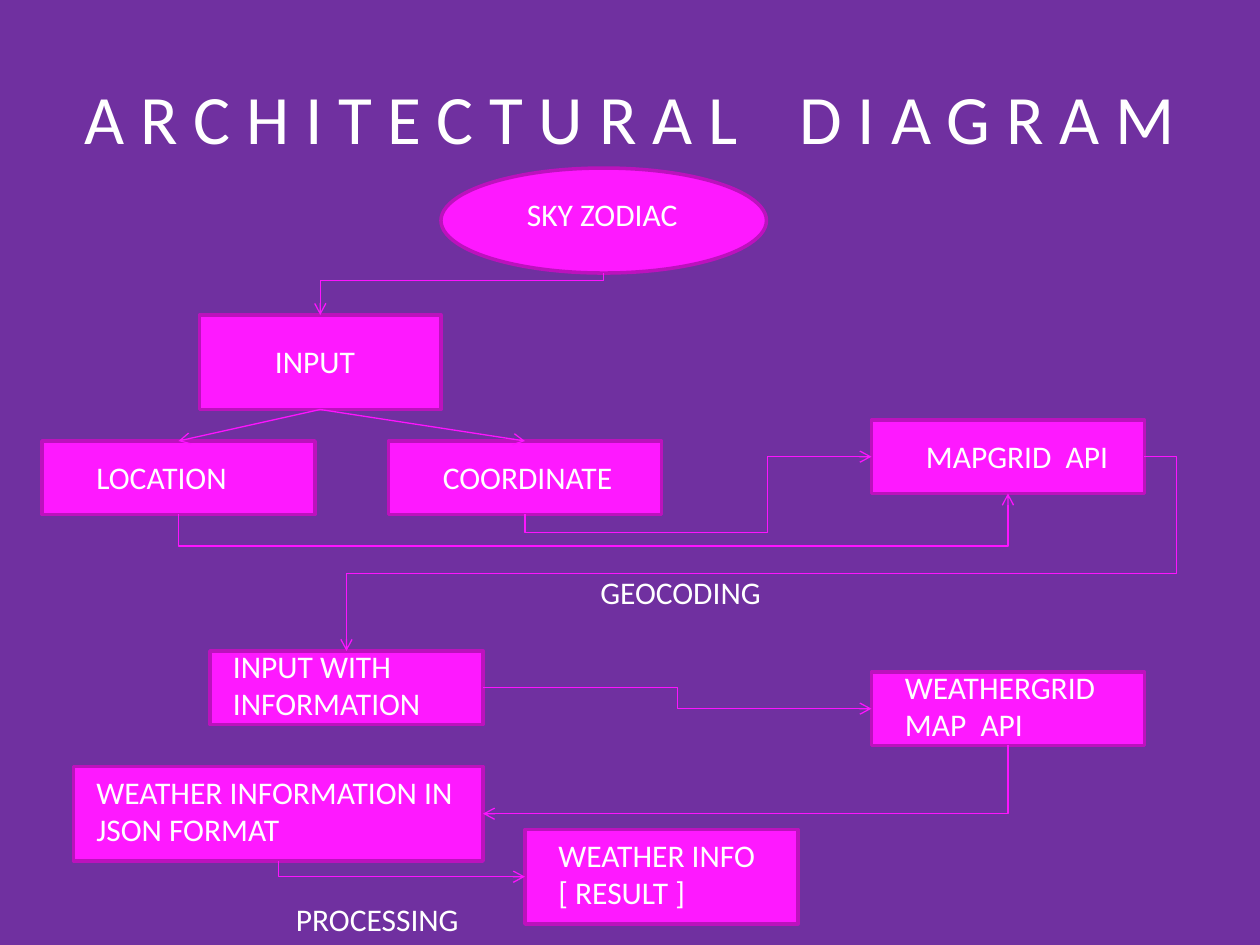
from pptx import Presentation
from pptx.dml.color import RGBColor
from pptx.enum.shapes import MSO_CONNECTOR as CXN, MSO_SHAPE as SHAPE
from pptx.enum.text import MSO_ANCHOR, MSO_AUTO_SIZE as FIT, PP_ALIGN
from pptx.oxml.ns import qn
from pptx.util import Inches, Pt
from lxml.etree import SubElement

PURPLE = RGBColor(0x70, 0x30, 0xA0)
PINK = RGBColor(0xFE, 0x19, 0xFF)
EDGE = RGBColor(0xBC, 0x12, 0xBD)
ARROW = RGBColor(0xFE, 0x13, 0xFF)
WHITE = RGBColor(0xFF, 0xFF, 0xFF)
COLS, ROWS = 120, 90

prs = Presentation()
prs.slide_width, prs.slide_height = Inches(10), Inches(7.5)
CELL = prs.slide_width // COLS
s = prs.slides.add_slide(prs.slide_layouts[5])
s.background.fill.solid()
s.background.fill.fore_color.rgb = PURPLE


def cells(*values):
    return [round(v * CELL) for v in values]


def write(tf, lines, size):
    tf.word_wrap = True
    for i, line in enumerate(lines):
        p = tf.paragraphs[0] if i == 0 else tf.add_paragraph()
        r = p.add_run()
        r.text = line
        for name, value in {"name": "Calibri", "size": Pt(size)}.items():
            setattr(r.font, name, value)
        r.font.color.rgb = WHITE


# Title
title = s.shapes.title
title.left, title.top, title.width, title.height = cells(6, 3.6, 108, 15)
tf = title.text_frame
write(tf, ["A R C H I T E C T U R A L    D I A G R A M"], 39.6)
tf.auto_size, tf.vertical_anchor = FIT.NONE, MSO_ANCHOR.MIDDLE
tf.paragraphs[0].alignment = PP_ALIGN.CENTER

# Nodes: column, row, columns wide, rows high
NODES = {
    "app": (42, 16, 31, 10),
    "input": (19, 30, 23, 9),
    "location": (4, 42, 26, 7),
    "coordinate": (37, 42, 26, 7),
    "geocoder": (83, 40, 26, 7),
    "weather api": (83, 64, 26, 7),
    "full input": (20, 62, 26, 7),
    "json": (7, 73, 39, 9),
    "result": (50, 79, 26, 9),
}
sites = {}
for name, (x, y, w, h) in NODES.items():
    kind = SHAPE.OVAL if name == "app" else SHAPE.RECTANGLE
    sp = s.shapes.add_shape(kind, *cells(x, y, w, h))
    sp.shadow.inherit = False
    sp.fill.solid()
    sp.fill.fore_color.rgb = PINK
    sp.line.color.rgb = EDGE
    sp.line.width = Pt(2)
    sites[name] = {
        "top": (x + w / 2, y), "bottom": (x + w / 2, y + h),
        "left": (x, y + h / 2), "right": (x + w, y + h / 2),
    }

# Arrows: from, side, to, side, preset, bend positions as shares of the run
ARROWS = [
    ("app", "bottom", "input", "top", "bentConnector3", [0.18]),
    ("input", "bottom", "location", "top", "line", []),
    ("input", "bottom", "coordinate", "top", "line", []),
    ("location", "bottom", "geocoder", "bottom", "bentConnector3", [-1.5]),
    ("coordinate", "bottom", "geocoder", "left", "bentConnector4", [-0.31, 0.7]),
    ("geocoder", "right", "full input", "top", "bentConnector4", [-0.04, 0.6]),
    ("full input", "right", "weather api", "left", "bentConnector3", [0.5]),
    ("weather api", "bottom", "json", "right", "bentConnector2", []),
    ("json", "bottom", "result", "left", "bentConnector2", []),
]
for start, side, end, end_side, preset, bends in ARROWS:
    (x1, y1), (x2, y2) = sites[start][side], sites[end][end_side]
    straight = preset == "line"
    c = s.shapes.add_connector(CXN.STRAIGHT if straight else CXN.ELBOW,
                               *cells(x1, y1, x2, y2))
    c.line.color.rgb = ARROW
    c.line.width = Pt(0.75)
    sppr = c._element.spPr
    SubElement(c.line._get_or_add_ln(), qn("a:tailEnd"), type="arrow")
    SubElement(sppr, qn("a:effectLst"))
    if straight:
        continue
    geom = sppr.find(qn("a:prstGeom"))
    geom.set("prst", preset)
    guides = geom.get_or_add_avLst()
    for i, bend in enumerate(bends, 1):
        SubElement(guides, qn("a:gd"), name=f"adj{i}", fmla=f"val {round(bend * 100000)}")
    # An elbow that leaves downwards is turned a quarter about its centre
    if side == "bottom":
        w, h = abs(y2 - y1), abs(x2 - x1)
        c.left, c.top, c.width, c.height = cells(
            (x1 + x2 - w) / 2, (y1 + y2 - h) / 2, w, h)
        xfrm = sppr.find(qn("a:xfrm"))
        for key, value in {"rot": 90 * 60000, "flipH": int(y2 < y1),
                           "flipV": int(x2 > x1)}.items():
            xfrm.set(key, str(value))

# Labels: column, row, columns wide, lines of type high, paragraphs
LABELS = [
    (49, 18, 25, 1, ["SKY ZODIAC"]),
    (25, 32, 16, 1, ["INPUT"]),
    (8, 43, 22, 1, ["LOCATION"]),
    (41, 43, 22, 1, ["COORDINATE"]),
    (87, 41, 22, 1, ["MAPGRID  API"]),
    (56, 54, 35, 1, ["GEOCODING"]),
    (21, 61, 22, 2, ["INPUT WITH INFORMATION"]),
    (85, 63, 22, 2, ["WEATHERGRID MAP  API"]),
    (52, 79, 22, 2, ["WEATHER INFO", "[ RESULT ]"]),
    (8, 73, 37, 2, ["WEATHER INFORMATION IN JSON FORMAT"]),
    (27, 85.15, 22, 1, ["PROCESSING"]),
]
for x, y, w, lines, paragraphs in LABELS:
    box = s.shapes.add_textbox(*cells(x, y, w, 1.2 + 3.6 * lines))
    write(box.text_frame, paragraphs, 18)
    box.text_frame.auto_size = FIT.SHAPE_TO_FIT_TEXT

prs.save("out.pptx")
